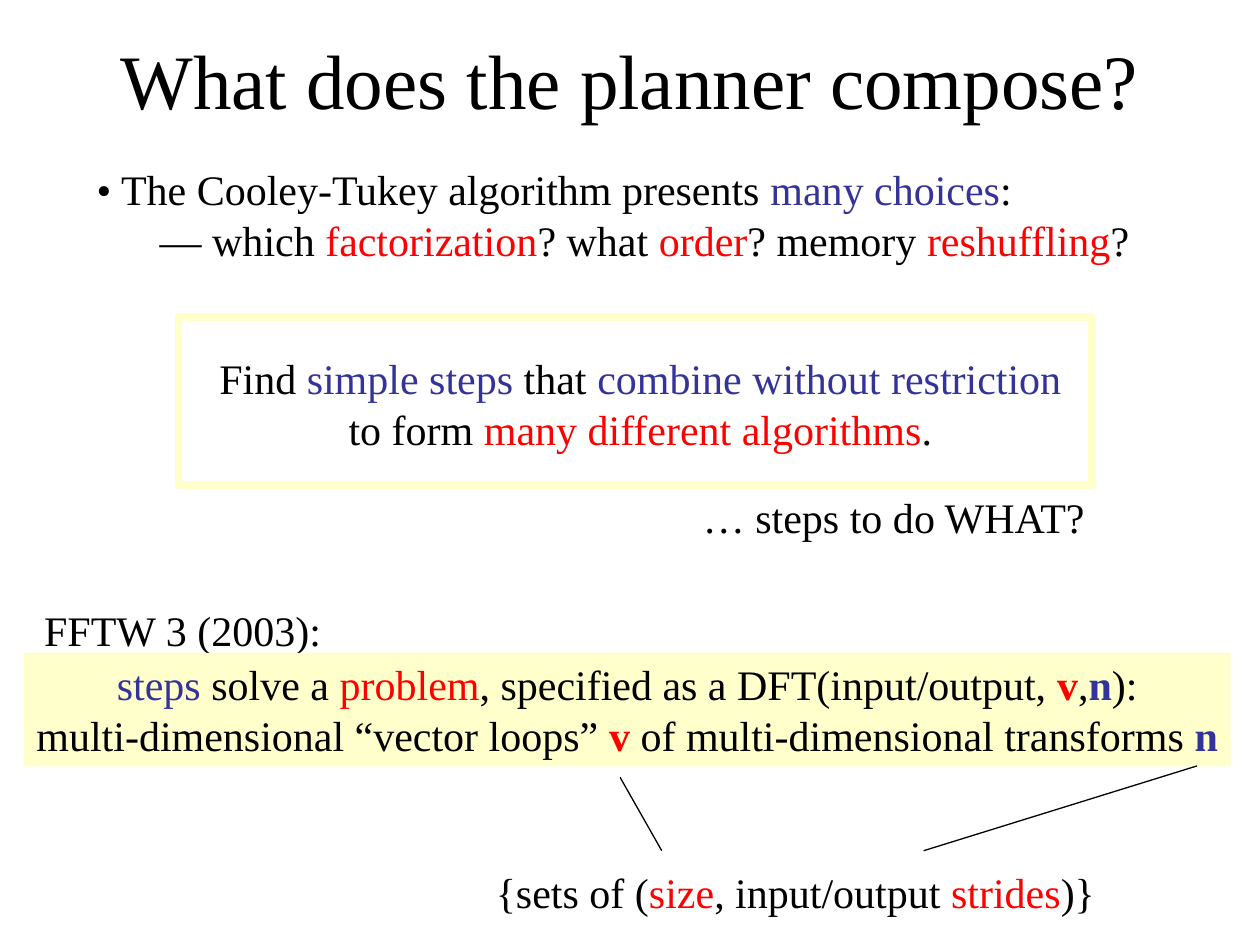
"""Build the slide on what the FFTW planner composes."""
from dataclasses import dataclass

from lxml import etree
from pptx import Presentation
from pptx.dml.color import RGBColor
from pptx.enum.shapes import MSO_CONNECTOR, MSO_SHAPE
from pptx.enum.text import MSO_ANCHOR, MSO_AUTO_SIZE, PP_ALIGN
from pptx.oxml.ns import qn
from pptx.util import Cm, Pt


@dataclass(frozen=True)
class Theme:
    """Hold the colours, type and line sizes of the slide."""
    font: str = "Times New Roman"
    title_size: int = 44
    body_size: int = 24
    black: RGBColor = RGBColor(0, 0, 0)
    blue: RGBColor = RGBColor(0x33, 0x33, 0x99)
    red: RGBColor = RGBColor(0xFF, 0, 0)
    white: RGBColor = RGBColor(0xFF, 0xFF, 0xFF)
    cream: RGBColor = RGBColor(0xFF, 0xFF, 0xCC)
    frame_width: float = 4.5
    pointer_width: float = 0.75


THEME = Theme()
BLUE, RED = THEME.blue, THEME.red
LEFT, CENTER = PP_ALIGN.LEFT, PP_ALIGN.CENTER
LINE_HEIGHT, VERTICAL_PADDING = 1.02, 0.25

TITLE = "What does the planner compose?"
TITLE_BOX = (1.9, 0, 21.6, 3.18)
GOAL_FRAME = (3.6, 6.4, 18.42, 3.38)

CHOICES = [
    ["• The Cooley-Tukey algorithm presents ", ("many choices", BLUE), ":"],
    ["\t— which ", ("factorization", RED), "? what ", ("order", RED),
     "? memory ", ("reshuffling", RED), "?"],
]
VERSION = [["FFTW 3 (2003):"]]
GOAL = [
    ["Find ", ("simple steps", BLUE), " that ",
     ("combine without restriction", BLUE)],
    ["to form ", ("many different algorithms", RED), "."],
]
PROBLEM = [
    [("steps", BLUE), " solve a ", ("problem", RED),
     ", specified as a DFT(input/output, ", ("v", RED, True), ",",
     ("n", BLUE, True), "):"],
    ["multi-dimensional “vector loops” ", ("v", RED, True),
     " of multi-dimensional transforms ", ("n", BLUE, True)],
]
SETS = [["{sets of (", ("size", RED), ", input/output ", ("strides", RED), ")}"]]
QUESTION = [["… steps to do WHAT?"]]

PASSAGES = [
    (CHOICES, (1.7, 3.18, 22.5), LEFT, True, None),
    (VERSION, (0.64, 12.07, 6.1), LEFT, False, None),
    (GOAL, (4.17, 6.99, 17.48), CENTER, False, None),
    (PROBLEM, (0.48, 13.16, 24.33), CENTER, False, THEME.cream),
    (SETS, (9.75, 17.35, 12.57), CENTER, False, None),
    (QUESTION, (13.92, 9.78, 8.31), LEFT, False, None),
]
POINTERS = [(12.5, 15.67, 13.34, 17.15), (24.13, 15.44, 18.62, 17.15)]


def cm(lengths):
    return [Cm(length) for length in lengths]


def style_paragraph(paragraph, size, align):
    paragraph.alignment = align
    paragraph.font.name = THEME.font
    paragraph.font.size = Pt(size)
    paragraph.font.color.rgb = THEME.black


def add_title(slide):
    title = slide.shapes.title
    title.left, title.top, title.width, title.height = cm(TITLE_BOX)
    title.text_frame.text = TITLE
    title.text_frame.vertical_anchor = MSO_ANCHOR.MIDDLE
    style_paragraph(title.text_frame.paragraphs[0], THEME.title_size, CENTER)


def add_goal_frame(slide):
    frame = slide.shapes.add_shape(MSO_SHAPE.RECTANGLE, *cm(GOAL_FRAME))
    frame.shadow.inherit = False
    frame.fill.solid()
    frame.fill.fore_color.rgb = THEME.white
    frame.line.color.rgb = THEME.cream
    frame.line.width = Pt(THEME.frame_width)


def add_passage(slide, lines, place, align, wrap, fill):
    height = len(lines) * LINE_HEIGHT + VERTICAL_PADDING
    passage = slide.shapes.add_textbox(*cm((*place, height)))
    if fill is not None:
        passage.fill.solid()
        passage.fill.fore_color.rgb = fill
    frame = passage.text_frame
    frame.word_wrap = wrap
    frame.auto_size = MSO_AUTO_SIZE.NONE
    for index, line in enumerate(lines):
        paragraph = frame.add_paragraph() if index else frame.paragraphs[0]
        style_paragraph(paragraph, THEME.body_size, align)
        for piece in line:
            words, color, *bold = (piece, THEME.black) if isinstance(piece, str) else piece
            run = paragraph.add_run()
            run.text = words
            run.font.color.rgb = color
            if bold:
                run.font.bold = True


def add_pointer(slide, ends):
    pointer = slide.shapes.add_connector(MSO_CONNECTOR.STRAIGHT, *cm(ends))
    pointer.line.color.rgb = THEME.black
    pointer.line.width = Pt(THEME.pointer_width)
    etree.SubElement(pointer._element.spPr, qn("a:effectLst"))


def main():
    deck = Presentation()
    deck.slide_width, deck.slide_height = cm((25.4, 19.05))
    slide = deck.slides.add_slide(deck.slide_layouts[5])
    add_goal_frame(slide)
    add_title(slide)
    for passage in PASSAGES:
        add_passage(slide, *passage)
    for ends in POINTERS:
        add_pointer(slide, ends)
    deck.save("out.pptx")


if __name__ == "__main__":
    main()
